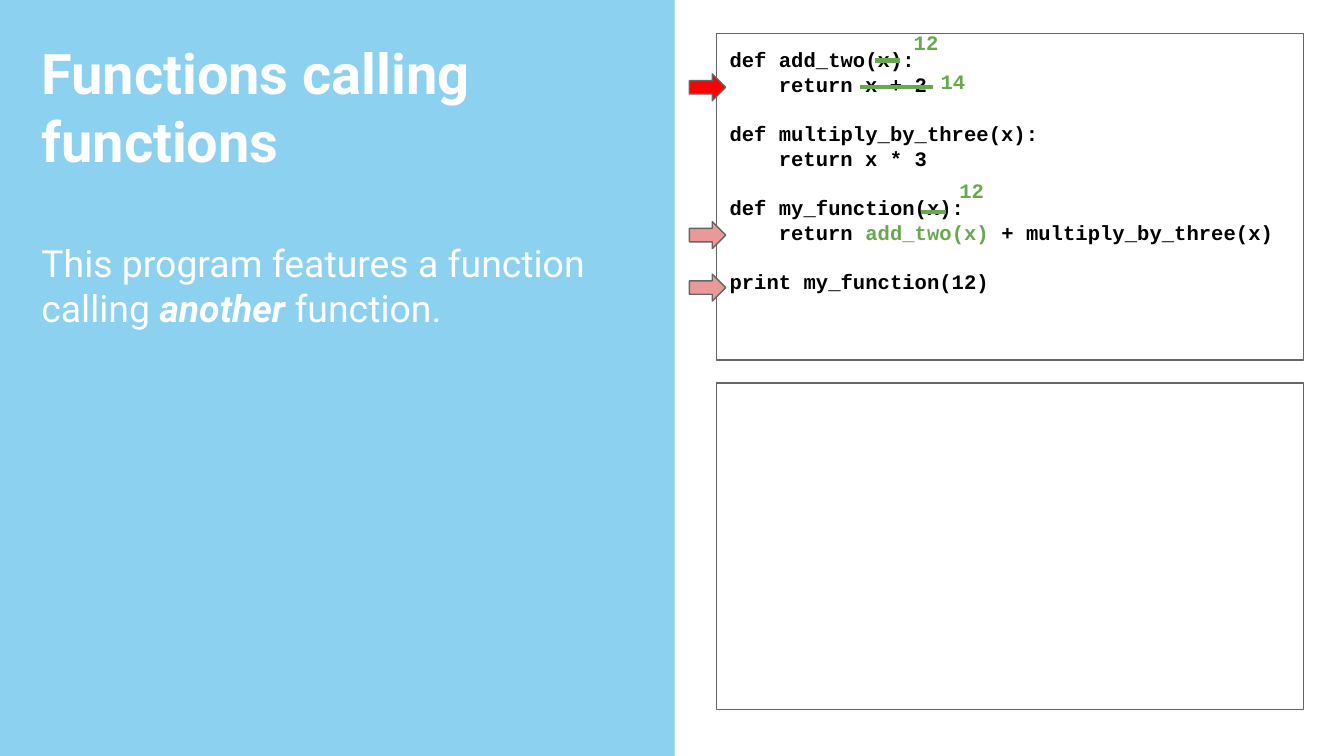
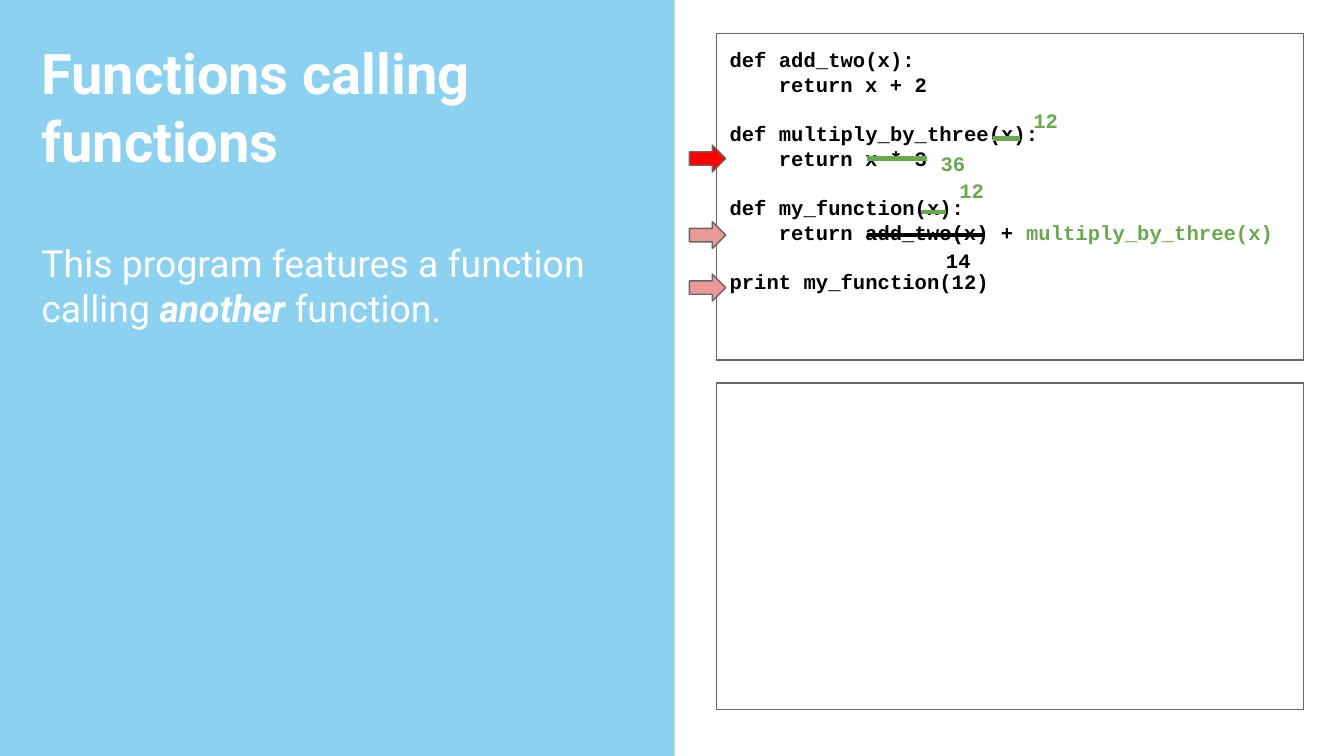
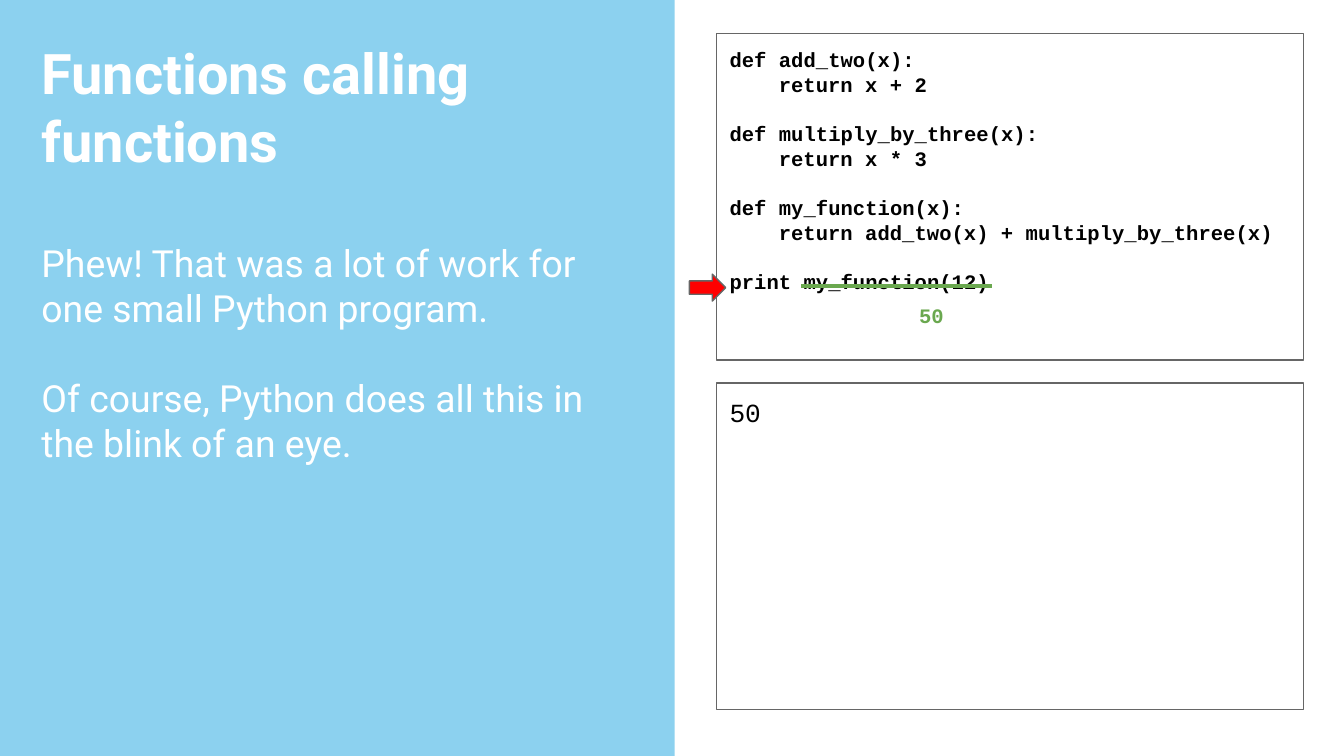
from dataclasses import dataclass

from lxml import etree
from pptx import Presentation
from pptx import util as u
from pptx.dml.color import RGBColor
from pptx.enum import shapes, text
from pptx.oxml import ns

WHITE = RGBColor(255, 255, 255)
BLACK = RGBColor(0, 0, 0)
BLUE = RGBColor(0x27, 0xA9, 0xE1)
GRAY = RGBColor(0x66, 0x66, 0x66)
GREEN = RGBColor(0x6A, 0xA8, 0x4F)
RED = RGBColor(255, 0, 0)
PINK = RGBColor(0xEA, 0x99, 0x99)

WIDE = u.Inches(10)
HIGH = WIDE * 9 // 16
UNIT = WIDE / 100
SANS, MONO = "Roboto", "Courier New"
SIZE = 11
INDENT = u.Pt(SIZE * 0.6 * 4)
GAP = u.Pt(SIZE * 1.2)

TITLE = "Functions calling functions"
CODE = (
    ("def add_two(x):", "return x + 2"),
    ("def multiply_by_three(x):", "return x * 3"),
    ("def my_function(x):", "return add_two(x) + multiply_by_three(x)"),
    ("print my_function(12)",),
)


@dataclass(frozen=True)
class Box:
    col: float
    row: float
    cols: float
    rows: float

    def place(self) -> tuple[int, ...]:
        return tuple(round(n * UNIT) for n in (self.col, self.row, self.cols, self.rows))


@dataclass(frozen=True)
class Arrow:
    row: float
    fill: RGBColor = PINK


@dataclass(frozen=True)
class Strike:
    left: float
    right: float
    row: float
    value: str
    col: float
    top: float
    tint: RGBColor = GREEN


@dataclass(frozen=True)
class Run:
    words: str
    strong: bool = False


@dataclass(frozen=True)
class Page:
    body: tuple[tuple[Run, ...], ...]
    marks: tuple[Arrow | Strike, ...]
    hot: str = ""
    output: str = ""


BAND = Box(0, -0.5, 50.2, 56.75)
PROSE = Box(2.1, 1.9, 46.4, 7)
PANEL = Box(53.3, 2.5, 43.7, 24.3)
SCREEN = Box(53.3, 28.5, 43.7, 24.3)

INTRO = ((Run("This program features a function calling "),
          Run("another ", True), Run("function.")),)
CALLS = (Arrow(20.4), Arrow(16.5), Strike(68.5, 70.4, 15.8, "12", 70.4, 12.3))
PAGES = (
    Page(INTRO, CALLS + (
        Arrow(5.5, RED),
        Strike(65.1, 67, 4.5, "12", 67, 1.3),
        Strike(64, 69.4, 6.5, "14", 69, 4.2),
    ), hot="add_two(x)"),
    Page(INTRO, CALLS + (
        Strike(64.5, 73.3, 17.5, "14", 69.4, 17.5, BLACK),
        Arrow(10.8, RED),
        Strike(73.9, 75.9, 10.3, "12", 75.9, 7.1),
        Strike(64.5, 69, 11.8, "36", 69, 10.3),
    ), hot="multiply_by_three(x)"),
    Page((
        (Run("Phew! That was a lot of work for one small Python program."),),
        (Run("Of course, Python does all this in the blink of an eye."),),
    ), (
        Arrow(20.4, RED),
        Strike(59.6, 73.8, 21.3, "50", 67.4, 21.6),
    ), output="50"),
)


def style(font, face: str, size: float, tint: RGBColor, bold: bool = False) -> None:
    font.name, font.size, font.bold = face, u.Pt(size), bold
    font.color.rgb = tint


def setup(frame):
    frame.word_wrap = True
    frame.vertical_anchor = text.MSO_ANCHOR.TOP
    for side in ("left", "right", "top", "bottom"):
        setattr(frame, f"margin_{side}", round(UNIT))
    return frame


def add_line(frame, first: bool):
    para = frame.paragraphs[0] if first else frame.add_paragraph()
    para.alignment = text.PP_ALIGN.LEFT
    return para


def add_text(slide, box: Box):
    return setup(slide.shapes.add_textbox(*box.place()).text_frame)


def add_shape(slide, kind, box: Box, fill: RGBColor | None = None,
              edge: RGBColor | None = GRAY):
    shape = slide.shapes.add_shape(kind, *box.place())
    shape.shadow.inherit = False
    if fill is None:
        shape.fill.background()
    else:
        shape.fill.solid()
        shape.fill.fore_color.rgb = fill
    if edge is None:
        shape.line.fill.background()
    else:
        shape.line.color.rgb = edge
        shape.line.width = u.Pt(0.75)
    return shape


def add_band(slide) -> None:
    band = add_shape(slide, shapes.MSO_SHAPE.RECTANGLE, BAND, BLUE, None)
    tint = band.element.spPr.find(".//" + ns.qn("a:srgbClr"))
    etree.SubElement(tint, ns.qn("a:alpha"), val="53000")
    slide.slide_layout.element.cSld.spTree.append(band.element)


def add_prose(slide, page: Page) -> None:
    frame = add_text(slide, PROSE)
    head = add_line(frame, True)
    head.text = TITLE
    style(head.font, SANS, 30, WHITE, True)
    for num, runs in enumerate(page.body):
        para = add_line(frame, False)
        para.space_before = u.Pt(24 if num else 36)
        style(para.font, SANS, 20, WHITE)
        for part in runs:
            run = para.add_run()
            run.text = part.words
            if part.strong:
                run.font.bold = run.font.italic = True


def add_code(slide, hot: str) -> None:
    panel = add_shape(slide, shapes.MSO_SHAPE.RECTANGLE, PANEL)
    frame = setup(panel.text_frame)
    for num, block in enumerate(CODE):
        for depth, line in enumerate(block):
            para = add_line(frame, num + depth == 0)
            style(para.font, MONO, SIZE, BLACK, True)
            if depth:
                para._p.get_or_add_pPr().set("marL", str(INDENT))
            elif num:
                para.space_before = GAP
            parts = line.partition(hot) if depth and hot else (line,)
            for words in filter(None, parts):
                run = para.add_run()
                run.text = words
                if words == hot:
                    run.font.color.rgb = GREEN


def add_screen(slide, output: str) -> None:
    screen = add_shape(slide, shapes.MSO_SHAPE.RECTANGLE, SCREEN)
    if output:
        para = add_line(setup(screen.text_frame), True)
        para.text = output
        style(para.font, MONO, 14, BLACK)


def add_strike(slide, mark: Strike) -> None:
    left, right, row = (round(n * UNIT) for n in (mark.left, mark.right, mark.row))
    line = slide.shapes.add_connector(
        shapes.MSO_CONNECTOR.STRAIGHT, left, row, right, row)
    line.line.color.rgb = mark.tint
    line.line.width = u.Pt(2.25)
    etree.SubElement(line.element.spPr, ns.qn("a:effectLst"))
    para = add_line(add_text(slide, Box(mark.col, mark.top, 7.8, 4.7)), True)
    para.text = mark.value
    style(para.font, MONO, SIZE, mark.tint, True)


def add_page(slide, page: Page) -> None:
    add_prose(slide, page)
    add_screen(slide, page.output)
    add_code(slide, page.hot)
    for mark in page.marks:
        if isinstance(mark, Arrow):
            add_shape(slide, shapes.MSO_SHAPE.RIGHT_ARROW,
                      Box(51.3, mark.row, 2.7, 2), mark.fill)
        else:
            add_strike(slide, mark)


def main() -> None:
    deck = Presentation()
    deck.slide_width, deck.slide_height = WIDE, HIGH
    blank = deck.slide_layouts[6]
    for num, page in enumerate(PAGES):
        slide = deck.slides.add_slide(blank)
        if num == 0:
            add_band(slide)
        add_page(slide, page)
    deck.save("out.pptx")


if __name__ == "__main__":
    main()
